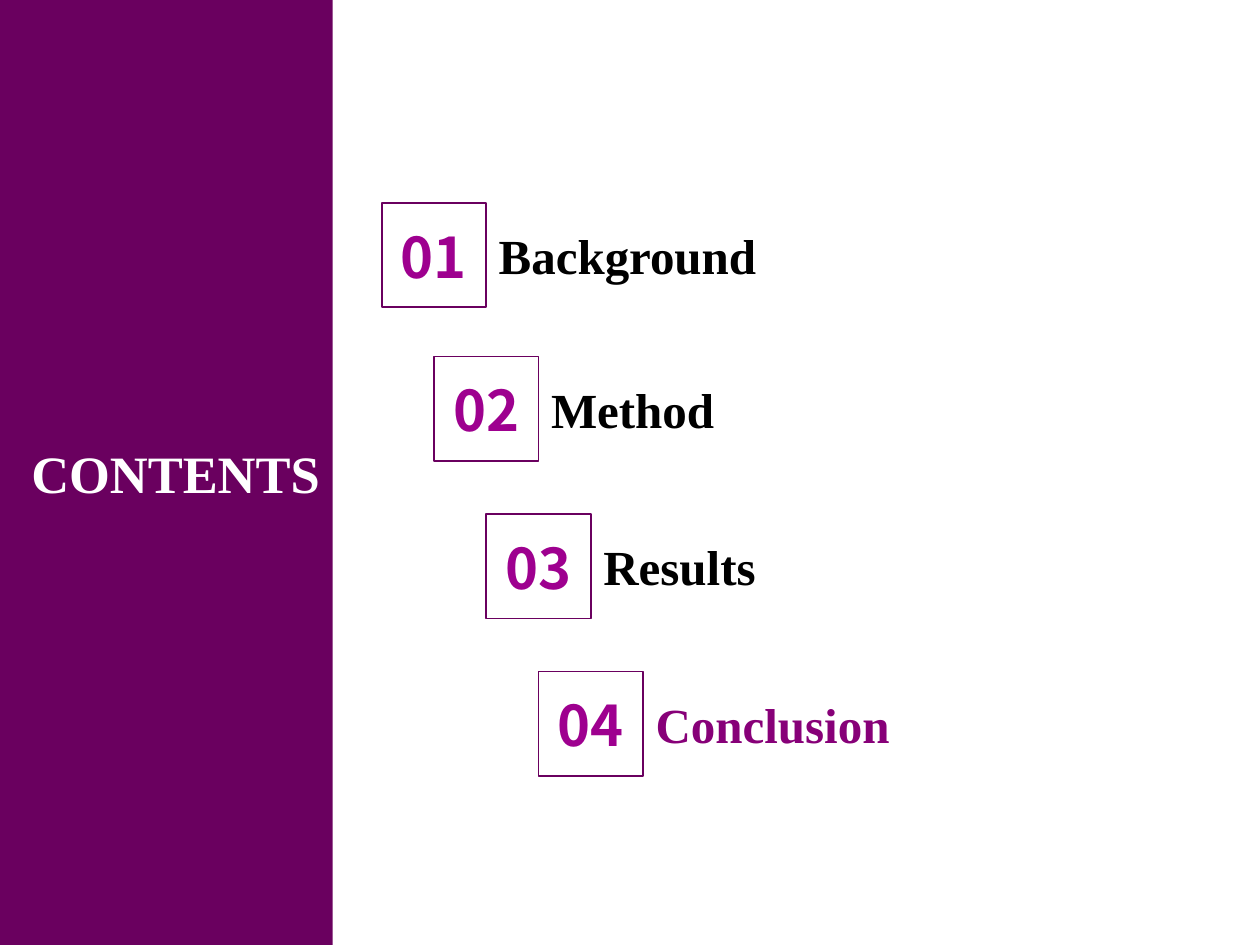
from dataclasses import dataclass

from pptx import Presentation
from pptx.dml.color import RGBColor
from pptx.enum import shapes, text
from pptx.util import Inches, Pt

SERIF = "Times New Roman"
SANS = "Noto Sans CJK SC"
PURPLE = "6A005F"
BAND_WIDTH = 2.64
SIDE = 0.83
FIRST_LEFT = 3.03
INDENT = SIDE / 2


@dataclass
class Entry:
    label: str
    top: float
    color: str = "000000"


@dataclass
class Style:
    font: str
    size: int
    color: str
    align: text.PP_ALIGN = text.PP_ALIGN.LEFT
    anchor: text.MSO_ANCHOR = text.MSO_ANCHOR.TOP


def rgb(value: str) -> RGBColor:
    return RGBColor.from_string(value)


def write(shape, words: str, style: Style) -> None:
    frame = shape.text_frame
    frame.word_wrap = True
    frame.auto_size = text.MSO_AUTO_SIZE.NONE
    frame.vertical_anchor = style.anchor
    para = frame.paragraphs[0]
    para.text = words
    para.alignment = style.align
    para.font.name = style.font
    para.font.size = Pt(style.size)
    para.font.bold = True
    para.font.color.rgb = rgb(style.color)


def add_rectangle(parent, left: float, top: float, width: float, height: float):
    box = parent.add_shape(shapes.MSO_SHAPE.RECTANGLE, Inches(left), Inches(top),
                           Inches(width), Inches(height))
    box.shadow.inherit = False
    return box


def add_entry(page, index: int, entry: Entry) -> None:
    left = FIRST_LEFT + index * INDENT
    group = page.shapes.add_group_shape().shapes
    label = group.add_textbox(Inches(left + SIDE), Inches(entry.top + 0.13),
                              Inches(2.25), Inches(0.57))
    write(label, entry.label, Style(SERIF, 28, entry.color))
    number = group.add_textbox(Inches(left), Inches(entry.top + 0.1),
                               Inches(SIDE), Inches(0.64))
    write(number, f"{index + 1:02}",
          Style(SANS, 32, "9E008F", text.PP_ALIGN.CENTER, text.MSO_ANCHOR.MIDDLE))
    square = add_rectangle(group, left, entry.top, SIDE, SIDE)
    square.fill.background()
    square.line.color.rgb = rgb(PURPLE)
    square.line.width = Pt(1)


def add_heading(page, words: str) -> None:
    title = page.shapes.title
    title.left, title.top = Inches(0), Inches(3.45)
    title.width, title.height = Inches(BAND_WIDTH), Inches(0.61)
    write(title, words, Style(SERIF, 30, "FFFFFF", text.PP_ALIGN.RIGHT))
    band = add_rectangle(page.shapes, 0, 0, BAND_WIDTH, 7.5)
    band.fill.solid()
    band.fill.fore_color.rgb = rgb(PURPLE)
    band.line.fill.background()
    title.element.addprevious(band.element)


def main() -> None:
    deck = Presentation()
    deck.slide_width, deck.slide_height = Inches(10), Inches(7.5)
    page = deck.slides.add_slide(deck.slide_layouts.get_by_name("Title Only"))
    add_heading(page, "CONTENTS")
    entries = [
        Entry("Background", 1.61),
        Entry("Method", 2.83),
        Entry("Results", 4.08),
        Entry("Conclusion", 5.33, "870078"),
    ]
    for index, entry in enumerate(entries):
        add_entry(page, index, entry)
    deck.save("out.pptx")


if __name__ == "__main__":
    main()
